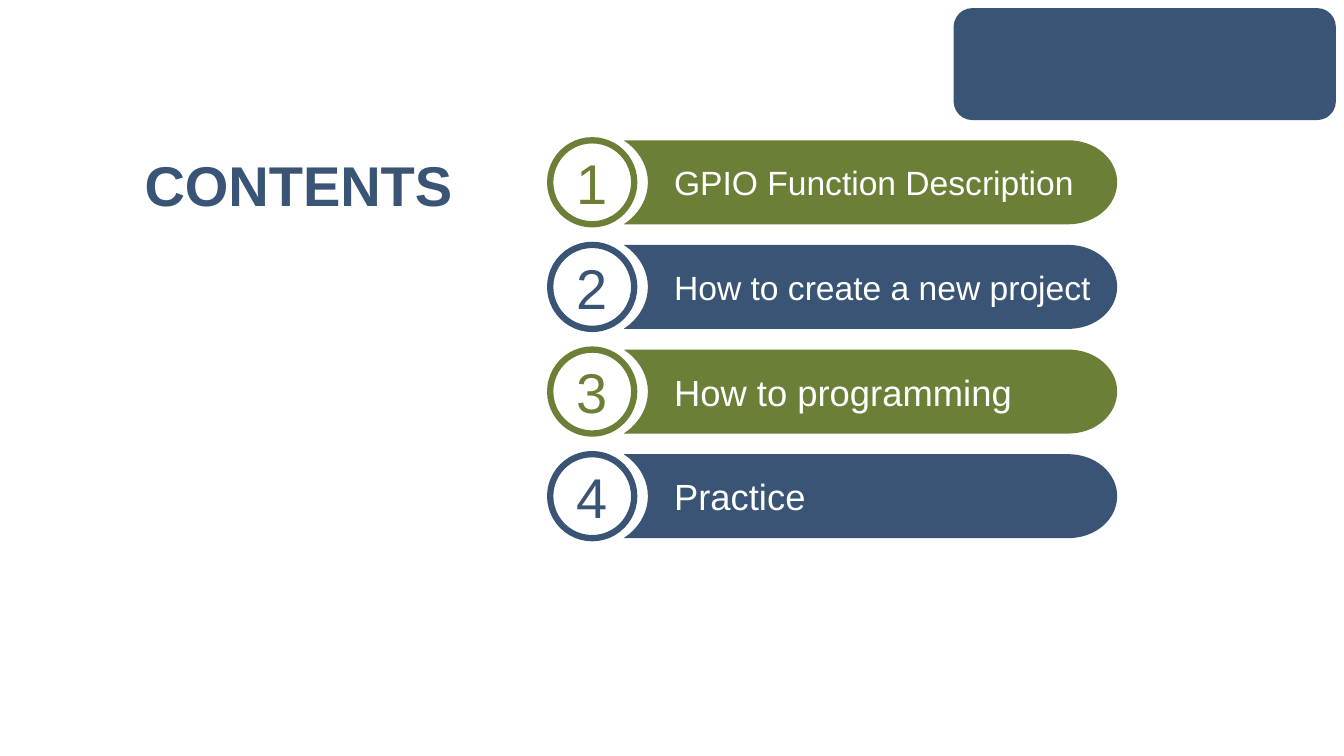
from dataclasses import dataclass

from lxml.etree import SubElement
from pptx import Presentation
from pptx.dml.color import RGBColor
from pptx.enum.shapes import MSO_SHAPE
from pptx.enum.text import MSO_ANCHOR, MSO_AUTO_SIZE, PP_ALIGN
from pptx.oxml.ns import qn
from pptx.util import Pt


@dataclass(frozen=True)
class Theme:
    blue: RGBColor = RGBColor(0x39, 0x54, 0x74)
    green: RGBColor = RGBColor(0x6B, 0x7F, 0x37)
    white: RGBColor = RGBColor(0xFF, 0xFF, 0xFF)
    font: str = "Arial"
    heading: int = 40
    item: int = 26
    item_long: int = 24


THEME = Theme()

CONTENTS = [
    ("GPIO Function Description", THEME.green, THEME.item_long),
    ("How to create a new project", THEME.blue, THEME.item_long),
    ("How to programming", THEME.green, THEME.item),
    ("Practice", THEME.blue, THEME.item),
]


def set_text(tf, text, size, color, align, bold=False):
    tf.margin_left = tf.margin_right = tf.margin_top = tf.margin_bottom = 0
    tf.word_wrap = True
    tf.text = text
    p = tf.paragraphs[0]
    p.alignment = align
    p.font.name = THEME.font
    p.font.size = Pt(size)
    p.font.bold = bold
    p.font.color.rgb = color


def paint(sp, fill, line=None, line_width=0):
    sp.shadow.inherit = False
    sp.fill.solid()
    sp.fill.fore_color.rgb = fill
    if line is None:
        sp.line.fill.background()
    else:
        sp.line.color.rgb = line
        sp.line.width = Pt(line_width)


def bend(segment, controls):
    """Turn a straight path segment into a cubic Bezier curve."""
    end = segment[0]
    segment.tag = qn("a:cubicBezTo")
    for cx, cy in controls:
        pt = SubElement(segment, qn("a:pt"))
        pt.set("x", str(Pt(cx)))
        pt.set("y", str(Pt(cy)))
    segment.append(end)


def add_corner_block(s, x, y, w, h):
    sp = s.shapes.add_shape(MSO_SHAPE.ROUNDED_RECTANGLE, Pt(x), Pt(y), Pt(w), Pt(h))
    paint(sp, THEME.blue)


def add_title(s, x, y, w, h):
    title = s.shapes.title
    title.left, title.top, title.width, title.height = Pt(x), Pt(y), Pt(w), Pt(h)
    tf = title.text_frame
    tf.auto_size = MSO_AUTO_SIZE.NONE
    tf.vertical_anchor = MSO_ANCHOR.TOP
    set_text(tf, "CONTENTS", THEME.heading, THEME.blue, PP_ALIGN.CENTER, bold=True)


def add_bar(s, x, y, w, h, text, color, size):
    mid = h / 2
    # Each corner of the outline, with control points where the edge is curved
    edges = [
        ((w - 35, 0), None),
        ((w, mid), [(w - 15.5, 0), (w, 13.4)]),
        ((w - 35, h), [(w, h - 13.4), (w - 15.5, h)]),
        ((0, h), None),
        ((4.3, h - 3.2), None),
        ((17.3, mid), [(12.2, h - 10), (17.3, h - 19.4)]),
        ((4.3, 3.2), [(17.3, 19.4), (12.2, 10)]),
    ]
    builder = s.shapes.build_freeform(Pt(x), Pt(y))
    builder.add_line_segments([(Pt(x + px), Pt(y + py)) for (px, py), _ in edges])
    sp = builder.convert_to_shape()
    segments = list(sp.element.iter(qn("a:lnTo")))
    for segment, (_, controls) in zip(segments, edges):
        if controls:
            bend(segment, controls)
    paint(sp, color)
    tf = sp.text_frame
    tf.vertical_anchor = MSO_ANCHOR.MIDDLE
    set_text(tf, text, size, THEME.white, PP_ALIGN.LEFT)
    tf.paragraphs[0].font.bold = None
    tf.margin_left = Pt(36)


def add_badge(s, x, y, d, number, color):
    sp = s.shapes.add_shape(MSO_SHAPE.OVAL, Pt(x), Pt(y), Pt(d), Pt(d))
    paint(sp, THEME.white, color, 4.5)
    tf = sp.text_frame
    tf.vertical_anchor = MSO_ANCHOR.MIDDLE
    set_text(tf, str(number), THEME.heading, color, PP_ALIGN.CENTER)
    tf.word_wrap = False


def add_contents_list(s, x, y, w, h):
    row_h = 60
    pitch = (h - row_h) / (len(CONTENTS) - 1)
    bar_offset = 52.5
    for i, (text, color, size) in enumerate(CONTENTS):
        top = y + i * pitch
        add_bar(s, x + bar_offset, top, w - bar_offset, row_h, text, color, size)
        add_badge(s, x, top, row_h, i + 1, color)


def main():
    prs = Presentation()
    prs.slide_width, prs.slide_height = Pt(960), Pt(540)
    s = prs.slides.add_slide(prs.slide_layouts[5])
    add_corner_block(s, 681.2, 5.8, 273, 80)
    add_title(s, 95.5, 107.5, 235.4, 48.2)
    add_contents_list(s, 393, 100.2, 405, 284.2)
    prs.save("out.pptx")


if __name__ == "__main__":
    main()
